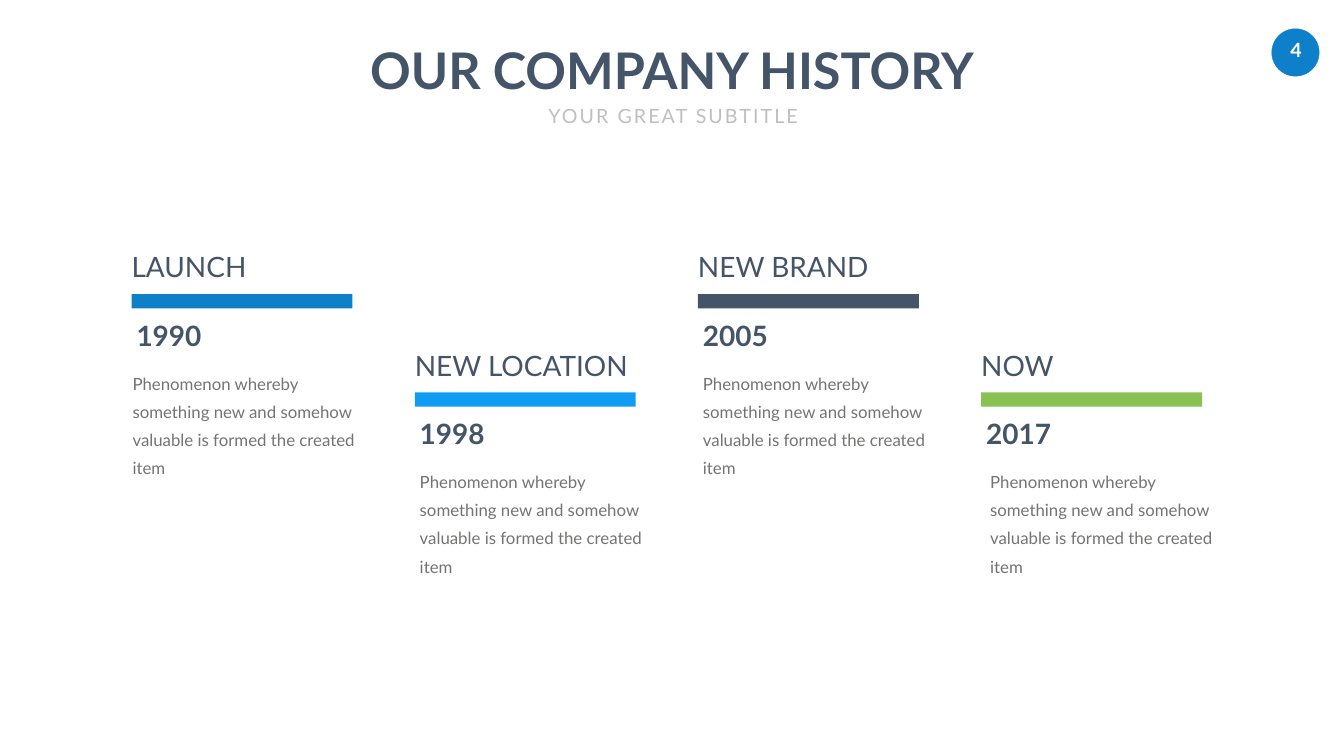
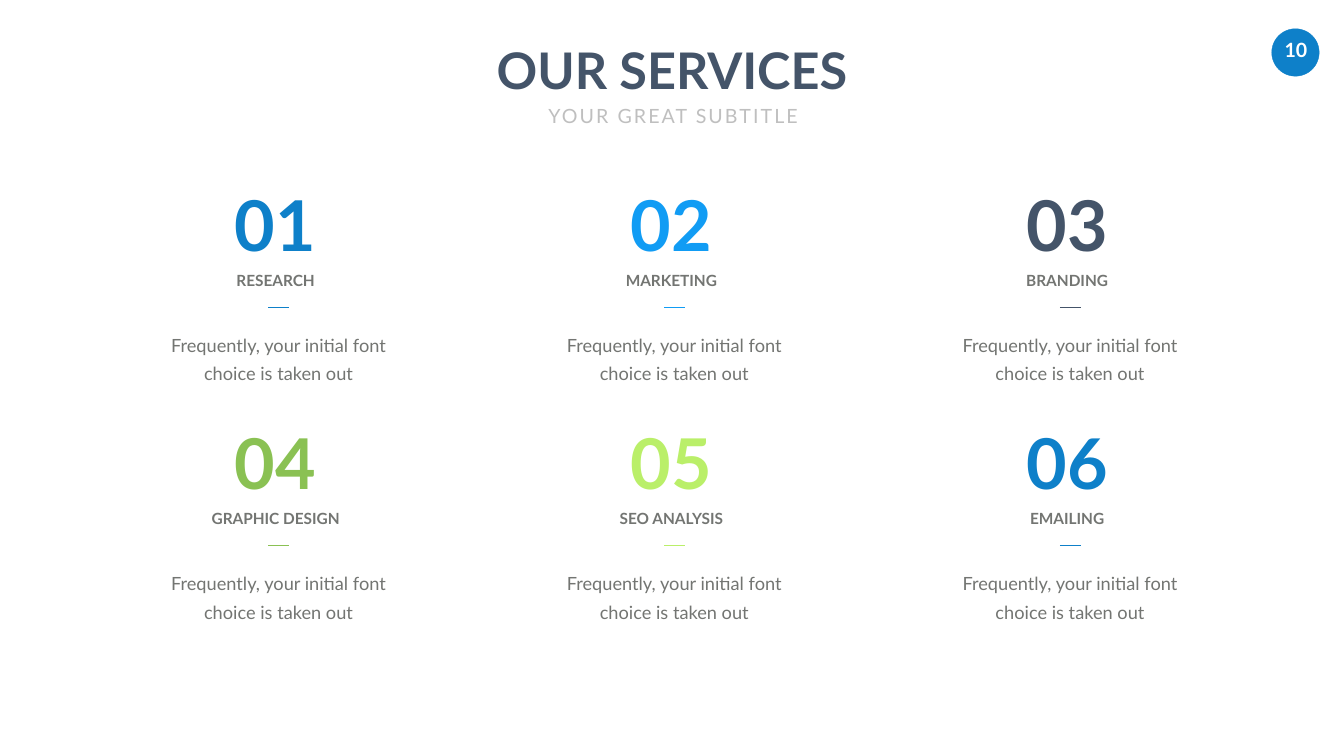
"""Build a company history slide and a services slide."""
import dataclasses

import pptx
import pptx.dml.color
import pptx.enum.shapes
import pptx.enum.text
import pptx.oxml
import pptx.oxml.ns
import pptx.util

Cm = pptx.util.Cm
Pt = pptx.util.Pt
SHAPES = pptx.enum.shapes.MSO_SHAPE
CENTER = pptx.enum.text.PP_ALIGN.CENTER
LEFT = pptx.enum.text.PP_ALIGN.LEFT


@dataclasses.dataclass(frozen=True)
class Theme:
    """Colours, font and type sizes shared by the slides."""
    font: str = "Lato"
    blue: str = "0E80C9"
    sky: str = "119CF4"
    slate: str = "445469"
    green: str = "8AC153"
    lime: str = "BAEF69"
    grey: str = "737572"
    pale: str = "BFBFBF"
    white: str = "FFFFFF"
    title: int = 72
    subtitle: int = 28
    badge: int = 28
    heading: int = 40
    story: int = 24
    number: int = 100
    label: int = 22
    summary: int = 26


THEME = Theme()
PLAIN_INSETS = (0.25, 0.13)
WIDE_INSETS = (0.61, 0.3)
BODY_LEADING = Pt(40.4)


def rgb(color):
    """Return a colour object for a hex value."""
    return pptx.dml.color.RGBColor.from_string(color)


def apply(target, values):
    """Set each named value on the target."""
    for name, value in values.items():
        setattr(target, name, value)


def write(shape, text, size, color, bold=False, align=LEFT, insets=PLAIN_INSETS,
          wrap=False, tracking=0, **spacing):
    """Write one formatted paragraph into a shape."""
    frame = shape.text_frame
    horizontal, vertical = map(Cm, insets)
    apply(frame, {
        "word_wrap": wrap,
        "auto_size": pptx.enum.text.MSO_AUTO_SIZE.SHAPE_TO_FIT_TEXT,
        "vertical_anchor": pptx.enum.text.MSO_ANCHOR.TOP,
        "margin_left": horizontal, "margin_right": horizontal,
        "margin_top": vertical, "margin_bottom": vertical,
    })
    paragraph = frame.paragraphs[0]
    apply(paragraph, {"alignment": align, **spacing})
    run = paragraph.add_run()
    run.text = text
    apply(run.font, {"name": THEME.font, "size": Pt(size), "bold": bold})
    run.font.color.rgb = rgb(color)
    if tracking:
        run._r.get_or_add_rPr().set("spc", str(tracking * 100))


def add_text(slide, box, *content, **style):
    """Add a text box at a left, top, width, height box in centimetres."""
    write(slide.shapes.add_textbox(*map(Cm, box)), *content, **style)


def add_block(slide, kind, box, color):
    """Add a flat filled shape."""
    shape = slide.shapes.add_shape(kind, *map(Cm, box))
    shape.shadow.inherit = False
    shape.fill.solid()
    shape.fill.fore_color.rgb = rgb(color)
    shape.line.fill.background()
    return shape


def add_rule(slide, start, end, top, color):
    """Add a thin horizontal line."""
    line = slide.shapes.add_connector(
        pptx.enum.shapes.MSO_CONNECTOR.STRAIGHT, Cm(start), Cm(top), Cm(end), Cm(top))
    line.line.color.rgb = rgb(color)
    line.line.width = Pt(0.5)
    line._element.spPr.append(pptx.oxml.parse_xml(
        f"<a:effectLst {pptx.oxml.ns.nsdecls('a')}/>"))


def add_badge(slide, left, top, page):
    """Add the round page number badge."""
    circle = add_block(slide, SHAPES.OVAL, (left, top, 2.39, 2.39), THEME.blue)
    circle.line.color.rgb = rgb(THEME.blue)
    circle.line.width = Pt(0.5)
    add_text(slide, (left + 0.1, top + 0.23, 2.24, 1.7), str(page), THEME.badge,
             THEME.white, bold=True, align=CENTER, insets=(0.51, 0.25))


def add_titled_slide(presentation, title, title_width, page):
    """Add a slide with its badge, title and subtitle."""
    slide = presentation.slides.add_slide(presentation.slide_layouts[5])
    add_badge(slide, 64.08, 1.45, page)
    placeholder = slide.shapes.title
    apply(placeholder, {
        "left": (presentation.slide_width - Cm(title_width)) // 2,
        "top": Cm(1.83), "width": Cm(title_width), "height": Cm(3.33),
    })
    write(placeholder, title, THEME.title, THEME.slate, bold=True, align=CENTER)
    add_text(slide, (26.82, 4.7, 14.2, 2.06), "YOUR GREAT SUBTITLE", THEME.subtitle,
             THEME.pale, align=CENTER, insets=WIDE_INSETS, tracking=3,
             line_spacing=1.2, space_before=Pt(5.6))
    return slide


def add_milestone(slide, left, top, heading, heading_width, year, color, story_shift):
    """Add a dated milestone with its heading, bar and story."""
    add_block(slide, SHAPES.RECTANGLE, (left, top + 2.36, 11.13, 0.71), color)
    add_text(slide, (left, top + 3.45, 3.84, 1.96), year, THEME.heading,
             THEME.slate, bold=True)
    add_text(slide, (left - 0.25, top, heading_width, 1.96), heading,
             THEME.heading, THEME.slate)
    add_text(slide, (left + story_shift, top + 5.8, 12.01, 5.94),
             "Phenomenon whereby something new and somehow valuable is formed the created item",
             THEME.story, THEME.grey, wrap=True, line_spacing=BODY_LEADING)


def add_service(slide, left, top, number, label, label_width, color):
    """Add a numbered service with its label, rule and summary."""
    center = left + 6.24
    add_text(slide, (center - 2.33, top, 4.65, 4.52), number, THEME.number, color,
             bold=True, align=CENTER)
    add_text(slide, (center - label_width / 2, top + 4.48, label_width, 1.22), label,
             THEME.label, THEME.grey, bold=True, align=CENTER, line_spacing=Pt(26.8))
    add_rule(slide, left + 5.87, left + 6.93, top + 6.45, color)
    add_text(slide, (left, top + 7.21, 12.78, 3.45),
             "Frequently, your initial font choice is taken out", THEME.summary,
             THEME.grey, align=CENTER, insets=WIDE_INSETS, wrap=True,
             line_spacing=BODY_LEADING, space_before=Pt(5.2))


def build_history(presentation):
    """Build the history slide with milestones at alternating heights."""
    slide = add_titled_slide(presentation, "OUR COMPANY HISTORY", 31.65, 4)
    milestones = (
        ("LAUNCH", 6.5, "1990", THEME.blue, -0.2),
        ("NEW LOCATION", 11.73, "1998", THEME.sky, 0),
        ("NEW BRAND", 9.37, "2005", THEME.slate, 0),
        ("NOW", 4.29, "2017", THEME.green, 0.2),
    )
    for index, milestone in enumerate(milestones):
        add_milestone(slide, 6.63 + 14.27 * index, 12.47 + 4.95 * (index % 2), *milestone)


def build_services(presentation):
    """Build the services slide as a grid of three columns."""
    slide = add_titled_slide(presentation, "OUR SERVICES", 18.49, 10)
    services = (
        ("RESEARCH", 4.6, THEME.blue),
        ("MARKETING", 5.23, THEME.sky),
        ("BRANDING", 4.75, THEME.slate),
        ("GRAPHIC DESIGN", 7.19, THEME.green),
        ("SEO ANALYSIS", 6.05, THEME.lime),
        ("EMAILING", 4.34, THEME.blue),
    )
    for index, service in enumerate(services):
        row, column = divmod(index, 3)
        add_service(slide, 7.65 + 19.94 * column, 9.02 + 12 * row,
                    f"{index + 1:02}", *service)


def main():
    """Create and save the presentation."""
    presentation = pptx.Presentation()
    presentation.slide_width = Cm(67.72)
    presentation.slide_height = Cm(38.1)
    build_history(presentation)
    build_services(presentation)
    presentation.save("out.pptx")


if __name__ == "__main__":
    main()
